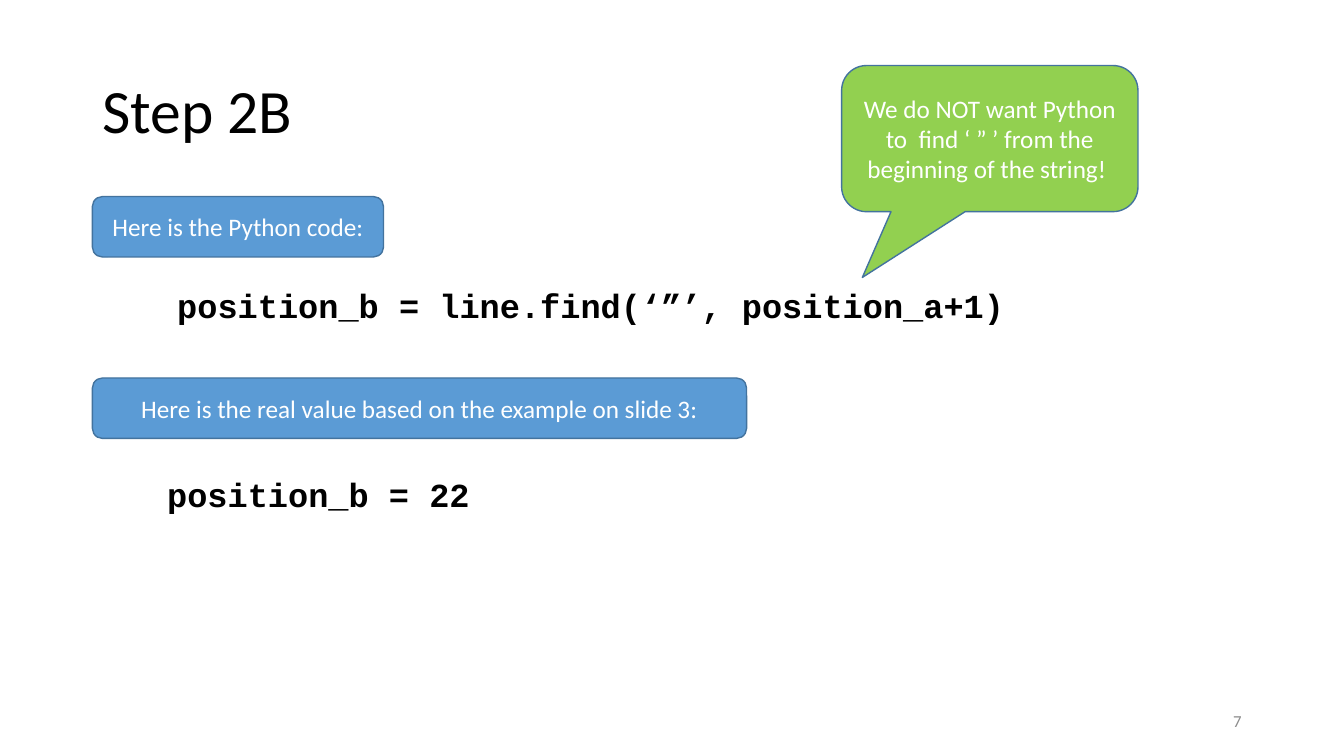
from pptx import Presentation
from pptx.dml.color import RGBColor
from pptx.enum.shapes import MSO_SHAPE
from pptx.enum.text import MSO_ANCHOR, PP_ALIGN
from pptx.util import Pt

THEME = {
    "body_font": "Calibri", "code_font": "Courier New",
    "title_size": 44, "code_size": 24, "label_size": 18, "number_size": 12,
    "black": "000000", "white": "FFFFFF", "gray": "8C8C8C",
    "blue": "5B9BD5", "green": "92D050", "outline": "43739E",
}

# Each box is left, top, width, height in points.
LEFT_MARGIN = 66.0
TITLE = ("Step 2B", (LEFT_MARGIN, 28.8, 828, 104.4))
SLIDE_NUMBER = ("7", (678, 500.5, 216, 28.8))
LABELS = [
    ("Here is the Python code:", (LEFT_MARGIN, 140.4, 208, 43.2)),
    ("Here is the real value based on the example on slide 3:",
     (LEFT_MARGIN, 270, 467.3, 43.2)),
]
CODE_LINES = [
    ("position_b = line.find(‘”’, position_a+1)", (119.5, 200.2, 624.2, 36)),
    ("position_b = 22", (112.3, 334.8, 247, 36)),
]
CALLOUT = ("We do NOT want Python to  find ‘ ” ’ from the beginning of the string! ",
           (601.2, 46.8, 211.7, 104.4))
CALLOUT_ADJUSTMENTS = (-0.43, 0.95, 0.17)


def write_text(shape, text, size, color, font=THEME["body_font"], bold=False,
               align=PP_ALIGN.LEFT, anchor=MSO_ANCHOR.MIDDLE, line_spacing=1.0):
    """Put one formatted paragraph into a shape."""
    frame = shape.text_frame
    frame.word_wrap = True
    frame.vertical_anchor = anchor
    paragraph = frame.paragraphs[0]
    paragraph.alignment = align
    paragraph.line_spacing = line_spacing
    run = paragraph.add_run()
    run.text = text
    run.font.name = font
    run.font.size = Pt(size)
    run.font.bold = bold
    run.font.color.rgb = RGBColor.from_string(color)


def add_text(slide, text, box, **text_format):
    """Add a text box with formatted text."""
    write_text(slide.shapes.add_textbox(*map(Pt, box)), text, **text_format)


def add_bubble(slide, kind, text, box, fill, adjustments=()):
    """Add a filled, outlined shape with centred white text."""
    shape = slide.shapes.add_shape(kind, *map(Pt, box))
    shape.shadow.inherit = False
    shape.fill.solid()
    shape.fill.fore_color.rgb = RGBColor.from_string(fill)
    shape.line.color.rgb = RGBColor.from_string(THEME["outline"])
    shape.line.width = Pt(1)
    for index, value in enumerate(adjustments):
        shape.adjustments[index] = value
    write_text(shape, text, size=THEME["label_size"], color=THEME["white"],
               align=PP_ALIGN.CENTER)


def build():
    """Build and save the slide."""
    presentation = Presentation()
    presentation.slide_width, presentation.slide_height = Pt(960), Pt(540)
    slide = presentation.slides.add_slide(presentation.slide_layouts[6])
    add_text(slide, *TITLE, size=THEME["title_size"], color=THEME["black"],
             line_spacing=0.9)
    for text, box in LABELS:
        add_bubble(slide, MSO_SHAPE.ROUNDED_RECTANGLE, text, box, THEME["blue"])
    for text, box in CODE_LINES:
        add_text(slide, text, box, size=THEME["code_size"], color=THEME["black"],
                 font=THEME["code_font"], bold=True, anchor=MSO_ANCHOR.TOP)
    add_bubble(slide, MSO_SHAPE.ROUNDED_RECTANGULAR_CALLOUT, *CALLOUT,
               THEME["green"], CALLOUT_ADJUSTMENTS)
    add_text(slide, *SLIDE_NUMBER, size=THEME["number_size"], color=THEME["gray"],
             align=PP_ALIGN.RIGHT)
    presentation.save("out.pptx")


build()
